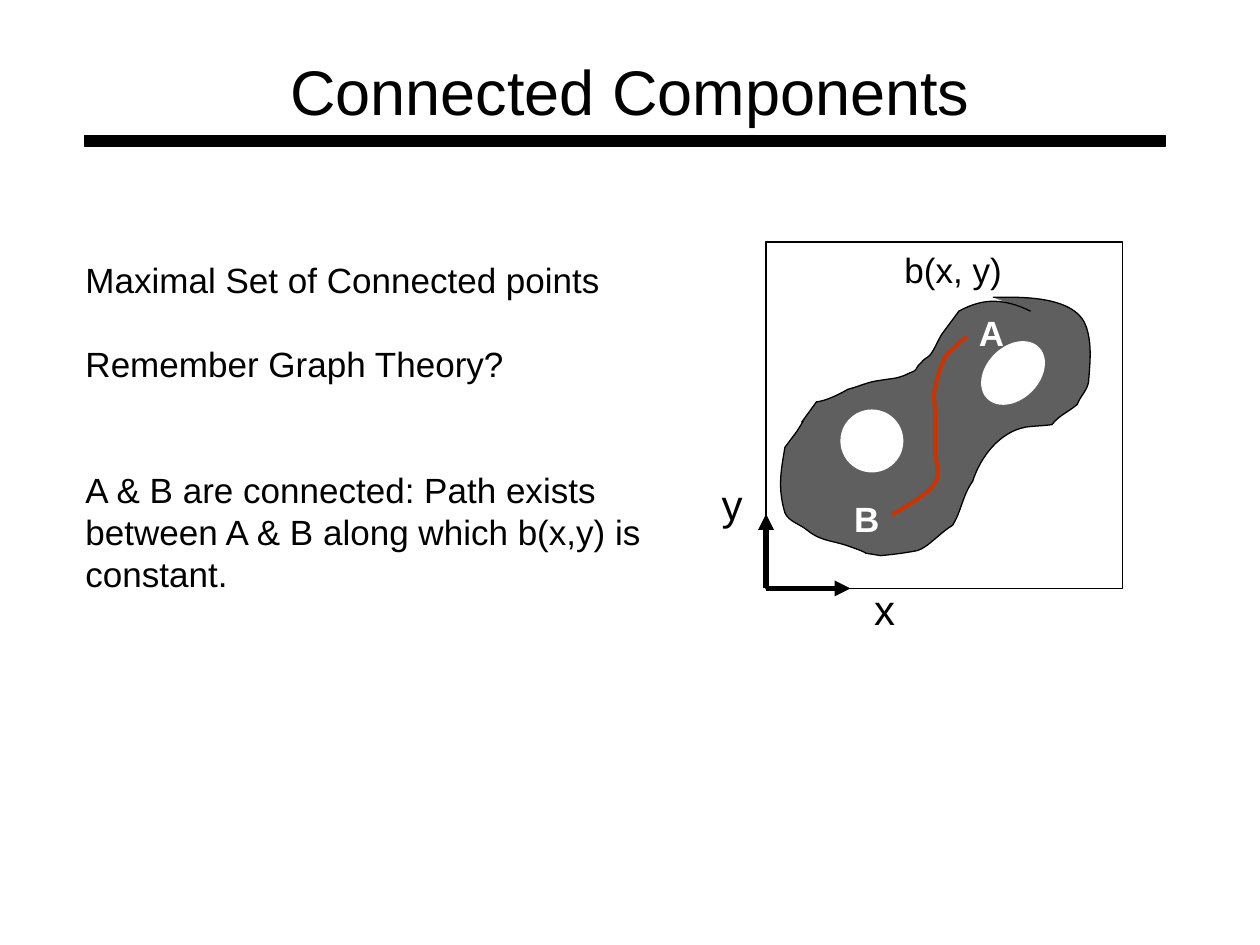
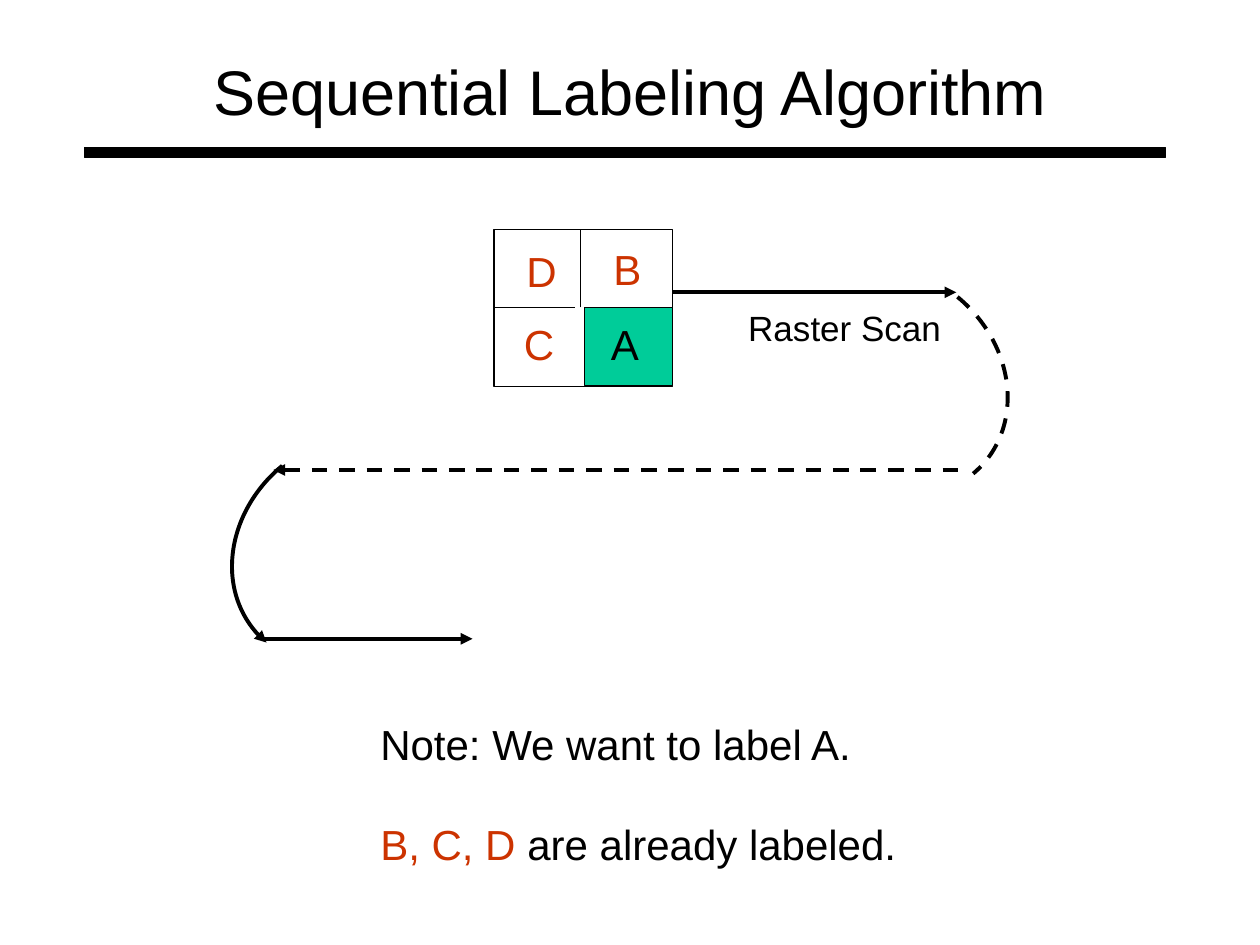
"""Build two slides on connected components and sequential labeling."""
import dataclasses

import pptx
import pptx.dml.color
import pptx.enum.dml
import pptx.enum.shapes
import pptx.enum.text
import pptx.oxml
import pptx.oxml.ns
import pptx.util
from pptx.util import Inches

SHAPES = pptx.enum.shapes.MSO_SHAPE
ALIGN = pptx.enum.text.PP_ALIGN
ANCHOR = pptx.enum.text.MSO_ANCHOR


@dataclasses.dataclass(frozen=True)
class Theme:
    font: str = "Arial"
    ink: str = "000000"
    paper: str = "FFFFFF"
    region: str = "5F5F5F"
    accent: str = "CC3300"
    target: str = "00CC99"
    title: int = 36
    large: int = 24
    body: int = 20
    leading: float = 1.2
    thin: float = 0.75
    medium: float = 2.25
    thick: float = 3


THEME = Theme()


def rgb(value):
    return pptx.dml.color.RGBColor.from_string(value)


def drawing_element(tag, attributes=""):
    return pptx.oxml.parse_xml(f'<a:{tag} {pptx.oxml.ns.nsdecls("a")} {attributes}/>')


def write(frame, paragraphs, size=THEME.body, color=THEME.ink, bold=False,
          align=ALIGN.LEFT, anchor=ANCHOR.TOP, wrap=False):
    frame.word_wrap = wrap
    frame.auto_size = pptx.enum.text.MSO_AUTO_SIZE.NONE
    frame.vertical_anchor = anchor
    frame.margin_left = frame.margin_right = Inches(0.1)
    frame.margin_top = frame.margin_bottom = Inches(0.05)
    line_height = pptx.util.Pt(size * THEME.leading)
    if isinstance(paragraphs, str):
        paragraphs = [(0, paragraphs)]
    for index, (lines_before, content) in enumerate(paragraphs):
        paragraph = frame.add_paragraph() if index else frame.paragraphs[0]
        paragraph.alignment = align
        paragraph.line_spacing = line_height
        paragraph.space_before = lines_before * line_height
        pieces = [(content, color)] if isinstance(content, str) else content
        for words, tint in pieces:
            run = paragraph.add_run()
            run.text = words
            run.font.name = THEME.font
            run.font.size = pptx.util.Pt(size)
            run.font.bold = bold
            run.font.color.rgb = rgb(tint)


class Deck:
    def __init__(self, theme):
        self.theme = theme
        self.presentation = pptx.Presentation()
        self.presentation.slide_width = Inches(10)
        self.presentation.slide_height = Inches(7.5)
        self.slide = None

    def start_slide(self, heading, rule_top):
        self.slide = self.presentation.slides.add_slide(self.presentation.slide_layouts[5])
        title = self.slide.shapes.title
        title.left, title.top, title.width, title.height = map(Inches, (0.75, 0.09, 8.5, 1.25))
        write(title.text_frame, heading, size=self.theme.title,
              align=ALIGN.CENTER, anchor=ANCHOR.MIDDLE, wrap=True)
        self.shape(0.67, rule_top, 8.58, 0.08, fill=self.theme.ink)

    def stroke(self, drawn, width, color=None, dashed=False, arrow=None):
        drawn.line.color.rgb = rgb(color or self.theme.ink)
        drawn.line.width = pptx.util.Pt(width)
        if dashed:
            drawn.line.dash_style = pptx.enum.dml.MSO_LINE.DASH
        if arrow:
            outline = drawn._element.spPr.find(pptx.oxml.ns.qn("a:ln"))
            outline.append(drawing_element(arrow, 'type="triangle"'))

    def paint(self, shape, fill):
        shape.shadow.inherit = False
        if fill:
            shape.fill.solid()
            shape.fill.fore_color.rgb = rgb(fill)
        else:
            shape.fill.background()

    def shape(self, left, top, width, height, kind=SHAPES.RECTANGLE, fill=None,
              outlined=True, rotation=0):
        shape = self.slide.shapes.add_shape(kind, *map(Inches, (left, top, width, height)))
        self.paint(shape, fill)
        shape.rotation = rotation
        if outlined:
            self.stroke(shape, self.theme.thin)
        else:
            shape.line.fill.background()
        return shape

    def arc(self, left, top, rotation, first_angle, last_angle, **style):
        arc = self.shape(left, top, 2, 1.73, kind=SHAPES.ARC, rotation=rotation)
        for index, angle in enumerate((first_angle, last_angle)):
            arc.adjustments[index] = angle * 0.6
        self.stroke(arc, self.theme.medium, **style)

    def text(self, left, top, width, height, content, **style):
        box = self.slide.shapes.add_textbox(*map(Inches, (left, top, width, height)))
        write(box.text_frame, content, **style)

    def line(self, x1, y1, x2, y2, width, **style):
        connector = self.slide.shapes.add_connector(
            pptx.enum.shapes.MSO_CONNECTOR.STRAIGHT, *map(Inches, (x1, y1, x2, y2)))
        self.stroke(connector, width, **style)
        connector._element.spPr.append(drawing_element("effectLst"))

    def curve(self, start, curves, width, fill=None, color=None):
        builder = self.slide.shapes.build_freeform(*map(Inches, start))
        builder.add_line_segments(
            [(Inches(curve[i]), Inches(curve[i + 1])) for curve in curves for i in (0, 2, 4)],
            close=False)
        shape = builder.convert_to_shape()
        segments = list(shape._element.iter(pptx.oxml.ns.qn("a:lnTo")))
        for first in range(0, len(segments), 3):
            bezier = drawing_element("cubicBezTo")
            segments[first].addprevious(bezier)
            for segment in segments[first:first + 3]:
                bezier.append(segment[0])
                segment.getparent().remove(segment)
        self.paint(shape, fill)
        self.stroke(shape, width, color)


REGION_START = (8.18, 2.47)
REGION_CURVES = [
    (7.97, 2.37, 7.81, 2.36, 7.61, 2.47), (7.56, 2.54, 7.52, 2.59, 7.47, 2.66),
    (7.44, 2.71, 7.42, 2.77, 7.38, 2.82), (7.36, 2.84, 7.33, 2.85, 7.31, 2.88),
    (7.25, 2.93, 7.3, 2.93, 7.22, 2.96), (7.12, 3.01, 7.09, 3, 6.98, 3.02),
    (6.89, 3.03, 6.81, 3.07, 6.73, 3.09), (6.66, 3.13, 6.56, 3.18, 6.48, 3.19),
    (6.24, 3.52, 6.47, 3.2, 6.32, 3.43), (6.29, 3.47, 6.23, 3.55, 6.23, 3.55),
    (6.2, 3.73, 6.17, 3.87, 6.23, 4.07), (6.26, 4.14, 6.35, 4.16, 6.41, 4.21),
    (6.52, 4.3, 6.62, 4.29, 6.75, 4.34), (6.98, 4.42, 6.76, 4.37, 6.99, 4.41),
    (7.09, 4.4, 7.18, 4.39, 7.28, 4.37), (7.36, 4.35, 7.47, 4.22, 7.56, 4.17),
    (7.63, 4.06, 7.64, 3.93, 7.72, 3.82), (7.78, 3.63, 7.93, 3.43, 8.14, 3.39),
    (8.21, 3.38, 8.28, 3.38, 8.35, 3.37), (8.4, 3.3, 8.48, 3.27, 8.55, 3.21),
    (8.57, 3.15, 8.63, 3.1, 8.64, 3.03), (8.65, 2.89, 8.67, 2.73, 8.62, 2.59),
    (8.53, 2.33, 8.04, 2.36, 7.88, 2.36),
]
PATH_START = (7.08, 4.08)
PATH_CURVES = [
    (7.22, 4, 7.36, 3.92, 7.42, 3.83), (7.47, 3.75, 7.42, 3.65, 7.42, 3.58),
    (7.42, 3.51, 7.42, 3.47, 7.42, 3.42), (7.42, 3.36, 7.42, 3.31, 7.42, 3.25),
    (7.42, 3.19, 7.4, 3.15, 7.42, 3.08), (7.43, 3.01, 7.47, 2.89, 7.5, 2.83),
    (7.53, 2.78, 7.56, 2.78, 7.58, 2.75), (7.61, 2.72, 7.64, 2.69, 7.67, 2.67),
]


def connected_components(deck):
    theme = deck.theme
    deck.start_slide("Connected Components", 1.08)
    deck.text(0.58, 2, 4.71, 2.77, [
        (0, "Maximal Set of Connected points"),
        (1, "Remember Graph Theory?"),
        (2, "A & B are connected: Path exists"),
        (0, "between A & B along which b(x,y) is"),
        (0, "constant."),
    ])
    deck.curve(REGION_START, REGION_CURVES, theme.thin, fill=theme.region)
    deck.shape(6.08, 1.92, 2.83, 2.75)
    for tip_x, tip_y in ((6.75, 4.67), (6.08, 4.08)):
        deck.line(6.08, 4.67, tip_x, tip_y, theme.thick, arrow="tailEnd")
    for axis, left, top in (("x", 6.84, 4.58), ("y", 5.63, 3.75)):
        deck.text(left, top, 0.36, 0.5, axis, size=theme.large)
    deck.text(7.08, 1.92, 0.97, 0.44, "b(x, y)")
    for left, top, width, height, turn in ((6.67, 3.25, 0.5, 0.5, 0),
                                           (7.83, 2.67, 0.42, 0.58, 45.2)):
        deck.shape(left, top, width, height, kind=SHAPES.OVAL, fill=theme.paper,
                   outlined=False, rotation=turn)
    deck.curve(PATH_START, PATH_CURVES, theme.medium, color=theme.accent)
    for point, left, top in (("A", 7.67, 2.42), ("B", 6.68, 3.9)):
        deck.text(left, top, 0.4, 0.44, point, color=theme.paper, bold=True)


def sequential_labeling(deck):
    theme = deck.theme
    deck.start_slide("Sequential Labeling Algorithm", 1.17)
    deck.shape(3.92, 1.82, 1.42, 1.25)
    deck.line(4.61, 2.44, 4.61, 1.82, theme.thin)
    deck.line(3.92, 2.44, 4.56, 2.44, theme.thin)
    deck.shape(4.64, 2.44, 0.7, 0.62, fill=theme.target)
    for pixel, left, top, width, color in (("A", 4.75, 2.48, 0.42, theme.ink),
                                           ("B", 4.77, 1.88, 0.42, theme.accent),
                                           ("D", 4.08, 1.9, 0.44, theme.accent),
                                           ("C", 4.06, 2.48, 0.44, theme.accent)):
        deck.text(left, top, width, 0.5, pixel, size=theme.large, color=color)
    deck.line(5.34, 2.32, 7.59, 2.32, theme.medium, arrow="tailEnd")
    sweep_end = 8.07
    deck.arc(6.05, 2.16, 39.4, 270, sweep_end, dashed=True)
    deck.arc(1.79, 3.5, 320.6, 180 - sweep_end, 270, arrow="headEnd")
    deck.line(2.17, 3.73, 7.67, 3.73, theme.medium, dashed=True, arrow="headEnd")
    deck.text(5.84, 2.38, 1.73, 0.44, "Raster Scan")
    deck.line(2.09, 5.07, 3.75, 5.07, theme.medium, arrow="tailEnd")
    deck.text(2.92, 5.65, 5.33, 1.3, [
        (0, "Note: We want to label A."),
        (1, [("B, C, D", theme.accent), (" are already labeled.", theme.ink)]),
    ], size=theme.large, wrap=True)


def main():
    deck = Deck(THEME)
    connected_components(deck)
    sequential_labeling(deck)
    deck.presentation.save("out.pptx")


if __name__ == "__main__":
    main()
